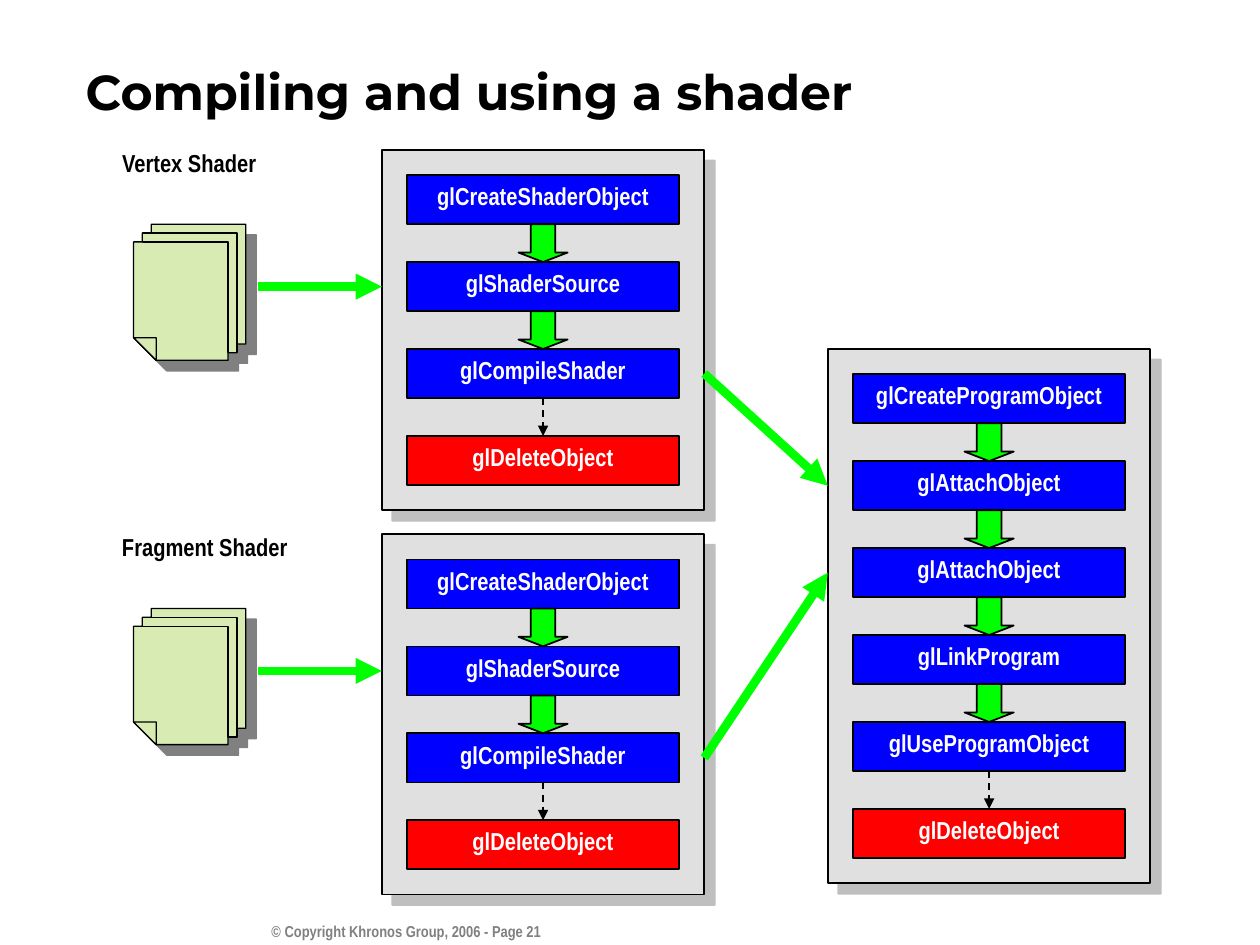
from lxml import etree
from pptx import Presentation
from pptx.dml.color import RGBColor
from pptx.enum.dml import MSO_LINE
from pptx.enum.shapes import MSO_CONNECTOR, MSO_SHAPE
from pptx.enum.text import MSO_ANCHOR, MSO_AUTO_SIZE, PP_ALIGN
from pptx.oxml.ns import qn
from pptx.util import Inches, Pt

RECT, DOWN_ARROW = MSO_SHAPE.RECTANGLE, MSO_SHAPE.DOWN_ARROW
STRAIGHT, DASH = MSO_CONNECTOR.STRAIGHT, MSO_LINE.DASH
LEFT, CENTER, RIGHT = PP_ALIGN.LEFT, PP_ALIGN.CENTER, PP_ALIGN.RIGHT
MIDDLE = MSO_ANCHOR.MIDDLE

BLACK = RGBColor(0x00, 0x00, 0x00)
WHITE = RGBColor(0xFF, 0xFF, 0xFF)
GRAY = RGBColor(0x80, 0x80, 0x80)
PANEL = RGBColor(0xE0, 0xE0, 0xE0)
BLUE = RGBColor(0x00, 0x00, 0xFF)
RED = RGBColor(0xFF, 0x00, 0x00)
GREEN = RGBColor(0x00, 0xFF, 0x00)
PAPER = RGBColor(0xD8, 0xEB, 0xB3)
NARROW = "Arial Narrow"

# Content: the last call of every list is the optional clean-up
TITLE = "Compiling and using a shader"
FOOTER = "© Copyright Khronos Group, 2006 - Page 21"
SHADER_CALLS = ["glCreateShaderObject", "glShaderSource", "glCompileShader",
                "glDeleteObject"]
PROGRAM_CALLS = ["glCreateProgramObject", "glAttachObject", "glAttachObject",
                 "glLinkProgram", "glUseProgramObject", "glDeleteObject"]
# label, label width, panel top, program row that it feeds
SHADERS = [("Vertex Shader", 1.48, 1.19, 1),
           ("Fragment Shader", 1.67, 4.24, 2)]

# Layout in inches
SHADER_X, PROGRAM_X, PROGRAM_Y = 3.03, 6.57, 2.77
PANEL_W, PAD, PITCH = 2.56, 0.2, 0.69
BOX_W, BOX_H = PANEL_W - 2 * PAD, 0.39
ARROW_W = 0.39
LABEL_X, DOC_X, DOC_DY, DOC_ARROW_X = 0.87, 1.06, 0.59, 2.05

# Stacked sheets: outline, edge of the middle sheet, folded corner
SHEETS = [
    [(0, 0.9), (0, 0.14), (0.07, 0.14), (0.07, 0.07), (0.14, 0.07), (0.14, 0),
     (0.89, 0), (0.89, 0.95), (0.82, 0.95), (0.82, 1.02), (0.75, 1.02),
     (0.75, 1.08), (0.18, 1.08)],
    [(0.07, 0.07), (0.82, 0.07), (0.82, 1.02), (0.75, 1.02), (0.75, 0.14),
     (0.07, 0.14)],
    [(0, 0.9), (0.18, 0.9), (0.18, 1.08)],
]


def style(sp, fill, width=1, shadow_alpha=None):
    sp.shadow.inherit = False
    sp.fill.solid()
    sp.fill.fore_color.rgb = fill
    sp.line.color.rgb = BLACK
    sp.line.width = Pt(width)
    if shadow_alpha:
        effects = sp._element.spPr.find(qn("a:effectLst"))
        shadow = etree.SubElement(effects, qn("a:outerShdw"), blurRad="0",
                                  dist=str(Pt(8.5)), dir="2700000",
                                  algn="ctr", rotWithShape="0")
        color = etree.SubElement(shadow, qn("a:srgbClr"), val=str(GRAY))
        etree.SubElement(color, qn("a:alpha"), val=str(shadow_alpha * 1000))


def add_rect(kind, x, y, w, h, fill, shadow_alpha=None):
    sp = s.shapes.add_shape(kind, Inches(x), Inches(y), Inches(w), Inches(h))
    style(sp, fill, shadow_alpha=shadow_alpha)
    return sp


def set_text(sp, text, size, color, align=LEFT, font=NARROW, spacing=None):
    tf = sp.text_frame
    tf.text = text
    tf.word_wrap = True
    p = tf.paragraphs[0]
    p.alignment = align
    if spacing:
        p.line_spacing = spacing
    f = p.runs[0].font
    f.name, f.size, f.bold = font, Pt(size), True
    f.color.rgb = color


def add_label(x, y, w, h, *args, **kwargs):
    sp = s.shapes.add_textbox(Inches(x), Inches(y), Inches(w), Inches(h))
    set_text(sp, *args, **kwargs)


def add_arrow(x1, y1, x2, y2, color=GREEN, width=5):
    c = s.shapes.add_connector(STRAIGHT, Inches(x1), Inches(y1),
                               Inches(x2), Inches(y2))
    c.line.color.rgb = color
    c.line.width = Pt(width)
    etree.SubElement(c.line._get_or_add_ln(), qn("a:tailEnd"), type="triangle")
    etree.SubElement(c._element.spPr, qn("a:effectLst"))
    return c


def row_middle(top, row):
    return top + PAD + row * PITCH + BOX_H / 2


def add_panel(x, y, calls):
    last = len(calls) - 1
    add_rect(RECT, x, y, PANEL_W, 2 * PAD + last * PITCH + BOX_H, PANEL, 50)
    mid = x + PANEL_W / 2
    previous = None
    for i, call in enumerate(calls):
        top = y + PAD + i * PITCH
        box = add_rect(RECT, x + PAD, top, BOX_W, BOX_H,
                       RED if i == last else BLUE)
        box.text_frame.vertical_anchor = MIDDLE
        set_text(box, call, 14, WHITE, CENTER, spacing=0.7)
        gap_top = top - PITCH + BOX_H
        if i == last:
            c = add_arrow(mid, gap_top, mid, top, BLACK, 1)
            c.line.dash_style = DASH
            c.begin_connect(previous, 2)
            c.end_connect(box, 0)
        elif i:
            arrow = add_rect(DOWN_ARROW, mid - ARROW_W / 2, gap_top,
                             ARROW_W, PITCH - BOX_H, GREEN)
            arrow.adjustments[0], arrow.adjustments[1] = 0.5, 0.25
        previous = box


def add_document(x, y):
    for i, outline in enumerate(SHEETS):
        points = [(Inches(x + dx), Inches(y + dy)) for dx, dy in outline]
        builder = s.shapes.build_freeform(*points[0])
        builder.add_line_segments(points[1:], close=True)
        style(builder.convert_to_shape(), PAPER, 0.75, None if i else 100)


prs = Presentation()
prs.slide_width, prs.slide_height = Inches(10), Inches(7.5)
s = prs.slides.add_slide(prs.slide_layouts[5])

# Title and footer
title = s.shapes.title
title.left, title.top = Inches(0.58), Inches(0.51)
title.width, title.height = Inches(9.37), Inches(0.42)
set_text(title, TITLE, 28, BLACK, font="Montserrat")
title.text_frame.vertical_anchor = MIDDLE
title.text_frame.auto_size = MSO_AUTO_SIZE.NONE
add_label(2, 7.27, 2.39, 0.33, FOOTER, 9, GRAY, RIGHT)

# Program panel, then each shader with its source and its link to the program
add_panel(PROGRAM_X, PROGRAM_Y, PROGRAM_CALLS)
for label, width, top, target in SHADERS:
    add_panel(SHADER_X, top, SHADER_CALLS)
    add_label(LABEL_X, top, width, 0.27, label, 14, BLACK, spacing=0.7)
    add_document(DOC_X, top + DOC_DY)
    source_y = row_middle(top, 1)
    add_arrow(DOC_ARROW_X, source_y, SHADER_X, source_y)
    add_arrow(SHADER_X + PANEL_W, row_middle(top, 2),
              PROGRAM_X, row_middle(PROGRAM_Y, target))

prs.save("out.pptx")
